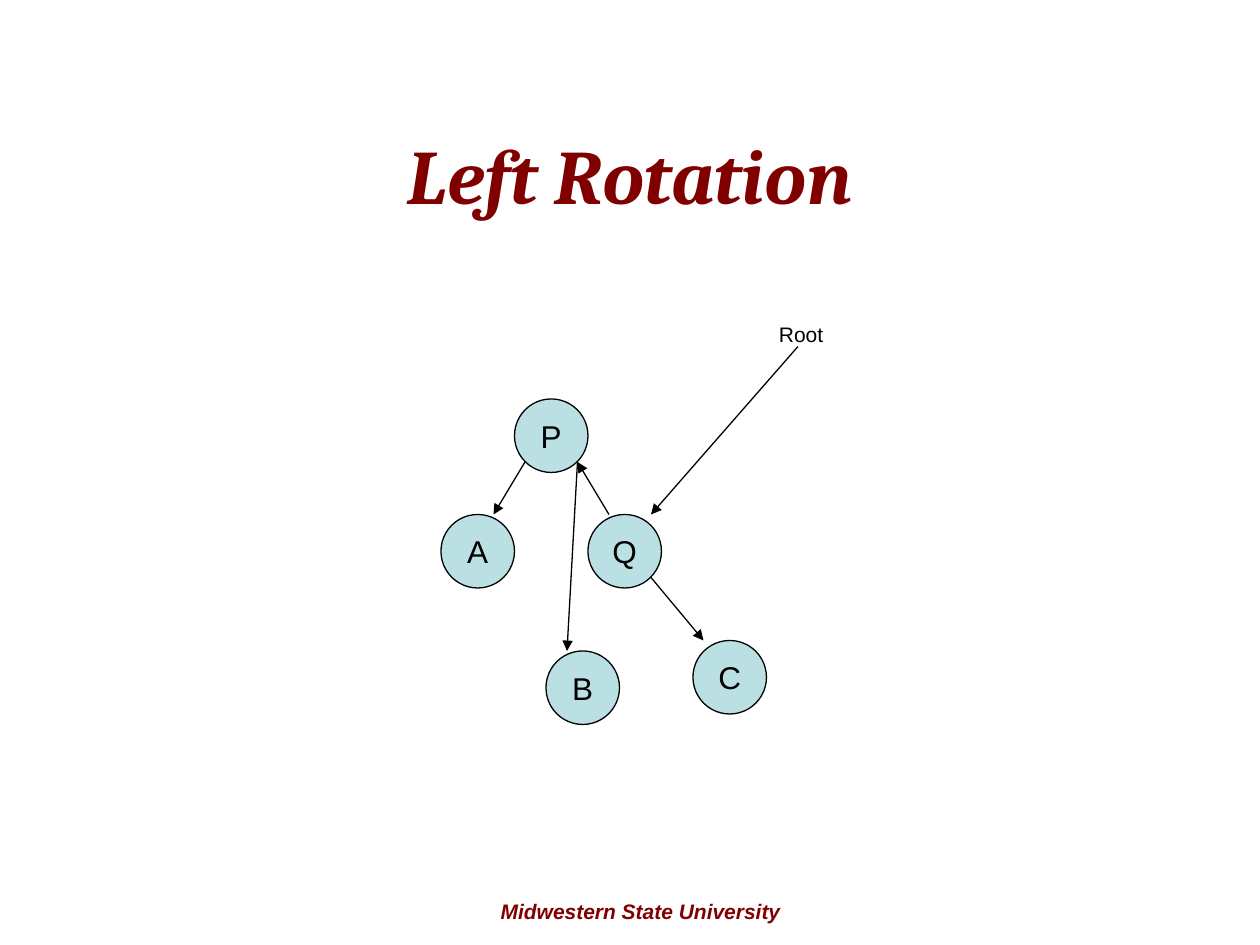
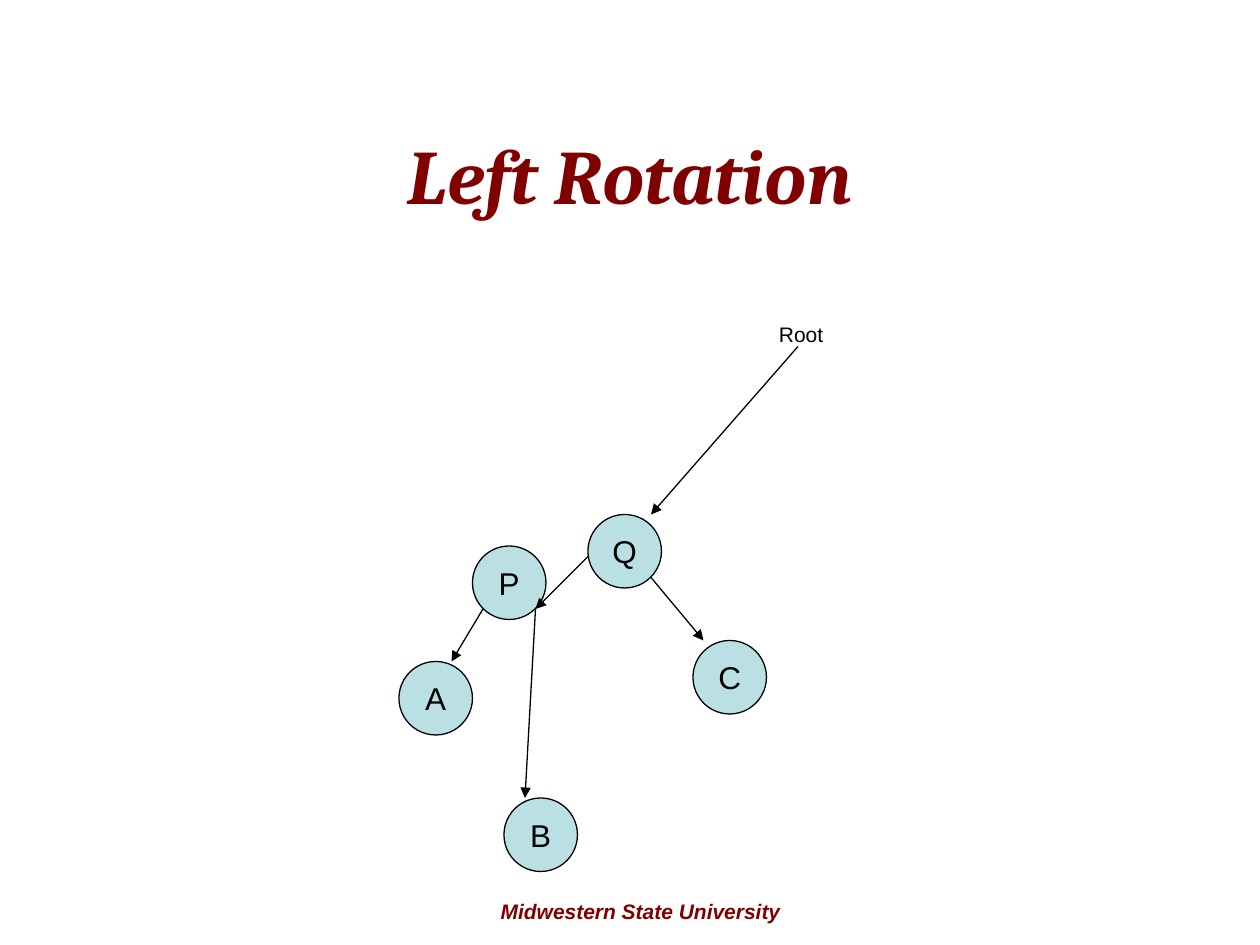
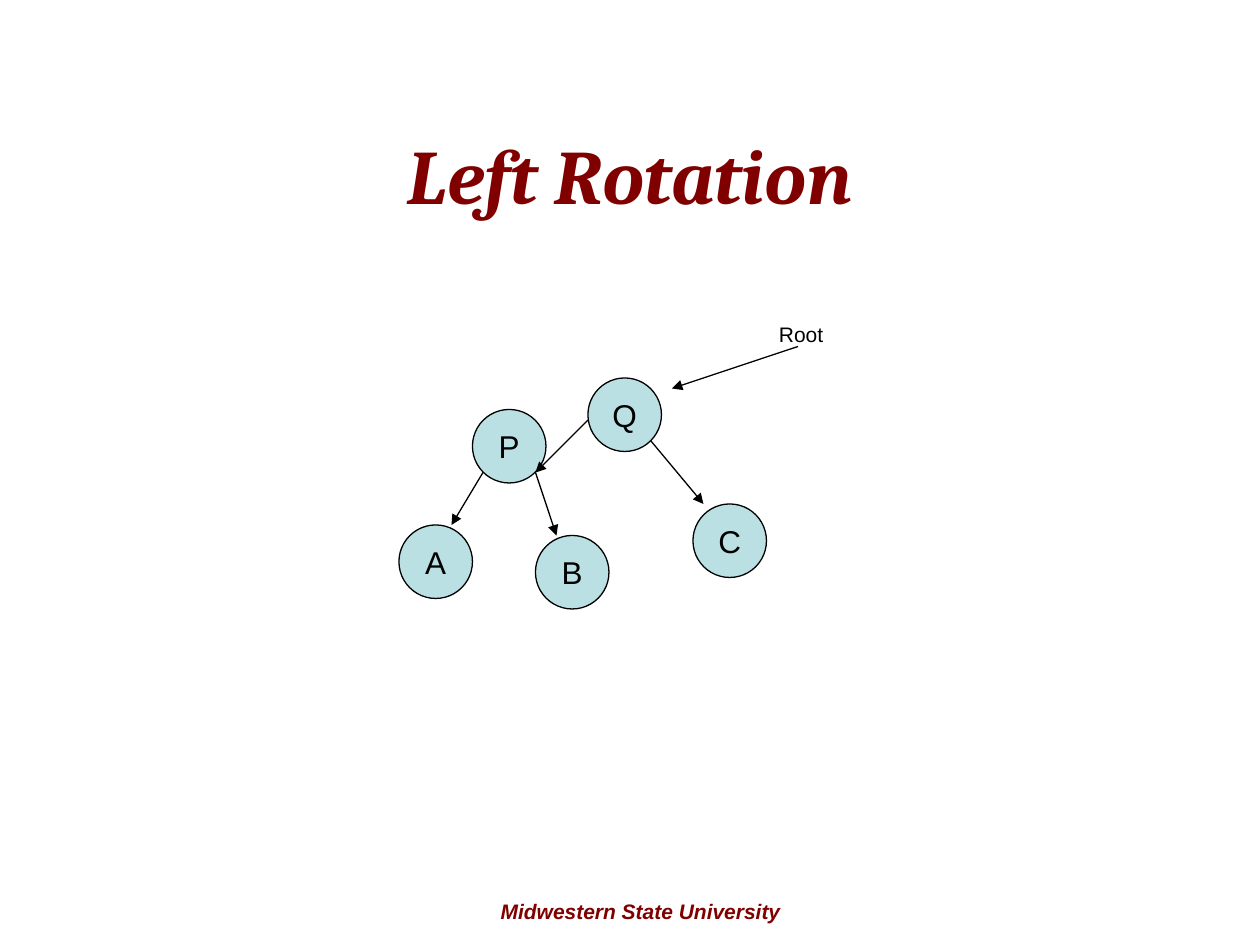
from lxml.etree import SubElement
from pptx import Presentation
from pptx.dml.color import RGBColor
from pptx.enum.shapes import MSO_CONNECTOR, MSO_SHAPE
from pptx.enum.text import MSO_ANCHOR, MSO_AUTO_SIZE, PP_ALIGN
from pptx.oxml.ns import qn
from pptx.util import Inches, Pt

MAROON, BLACK, PALE_BLUE = "800000", "000000", "BBE0E3"
BODY_FONT, TITLE_FONT = "Arial", "Cambria"
LINE_WIDTH = Pt(0.74)

# Tree positions and sizes are counted in grid steps of a twelfth of an inch.
STEP = 1 / 12
NODE = 7
TREE_BOX = (3, 2.5)
ROOT_LABEL = (37, 0)
ROOT_START = (40, 3)

# Child positions relative to the parent node.
A_FROM_P = (-7, 11)
C_FROM_Q = (10, 12)

# Points of a node where arrows start or end, relative to its corner.
LOWER_LEFT, LOWER_RIGHT = (1, 6), (6, 6)
A_TOP, B_TOP, C_TOP = (5, 0), (2, 0), (1, 0)
Q_TOP, Q_SIDE = (2, 0), (0, 4)


def color(hex_string):
    """Turn a hex string into a colour."""
    return RGBColor.from_string(hex_string)


def shift(point, offset):
    """Move a point by an offset."""
    return point[0] + offset[0], point[1] + offset[1]


def on_slide(point):
    """Turn a grid point of the tree box into slide lengths."""
    return [Inches(start + n * STEP) for start, n in zip(TREE_BOX, point)]


def write(shape, text, size, hex_string=BLACK, font=BODY_FONT,
          bold=False, align=PP_ALIGN.CENTER):
    """Write one styled paragraph; bold text is italic too."""
    p = shape.text_frame.paragraphs[0]
    p.text = text
    p.alignment = align
    p.font.name, p.font.size = font, Pt(size)
    p.font.bold = p.font.italic = bold
    p.font.color.rgb = color(hex_string)
    return p


def add_title(s, text, left, top, width, height):
    """Place the slide title, centred in its box."""
    sp = s.shapes.add_textbox(left, top, width, height)
    sp.text_frame.word_wrap = True
    sp.text_frame.vertical_anchor = MSO_ANCHOR.MIDDLE
    write(sp, text, 44, MAROON, TITLE_FONT, bold=True)


def add_label(s, text, left, top, width, **style):
    """Place a small one-line label."""
    sp = s.shapes.add_textbox(left, top, width, Inches(0.3))
    sp.text_frame.word_wrap = True
    sp.text_frame.auto_size = MSO_AUTO_SIZE.SHAPE_TO_FIT_TEXT
    write(sp, text, 12, **style).space_before = Pt(7.5)


def add_node(s, name, point):
    """Draw a tree node as a circle with its name."""
    size = Inches(NODE * STEP)
    sp = s.shapes.add_shape(MSO_SHAPE.OVAL, *on_slide(point), size, size)
    sp.shadow.inherit = False
    sp.fill.solid()
    sp.fill.fore_color.rgb = color(PALE_BLUE)
    sp.line.color.rgb = color(BLACK)
    sp.line.width = LINE_WIDTH
    sp.text_frame.word_wrap = False
    sp.text_frame.vertical_anchor = MSO_ANCHOR.MIDDLE
    write(sp, name, 18)


def add_arrow(s, start, end):
    """Draw a line with an arrowhead at its end."""
    line = s.shapes.add_connector(
        MSO_CONNECTOR.STRAIGHT, *on_slide(start), *on_slide(end))
    line.line.color.rgb = color(BLACK)
    line.line.width = LINE_WIDTH
    SubElement(line.line._get_or_add_ln(), qn("a:tailEnd"), type="triangle")
    SubElement(line._element.spPr, qn("a:effectLst"))


def add_tree(s, q, p, b_from_p, q_exit, root_end):
    """Draw the tree; q_exit and root_end are arrow points relative to Q."""
    a, b, c = shift(p, A_FROM_P), shift(p, b_from_p), shift(q, C_FROM_Q)
    for name, point in zip("QPABC", (q, p, a, b, c)):
        add_node(s, name, point)
    add_label(s, "Root", *on_slide(ROOT_LABEL), Inches(8 * STEP),
              align=PP_ALIGN.LEFT)
    add_arrow(s, ROOT_START, shift(q, root_end))
    add_arrow(s, shift(q, q_exit), shift(p, LOWER_RIGHT))
    add_arrow(s, shift(p, LOWER_LEFT), shift(a, A_TOP))
    add_arrow(s, shift(p, LOWER_RIGHT), shift(b, B_TOP))
    add_arrow(s, shift(q, LOWER_RIGHT), shift(c, C_TOP))


def add_rotation_slide(prs, **tree):
    """Add a slide with footer, title and one stage of the rotation."""
    s = prs.slides.add_slide(prs.slide_layouts[6])
    add_label(s, "Midwestern State University", Inches(3.5), Inches(7.08),
              Inches(3.17), hex_string=MAROON, bold=True)
    add_title(s, "Left Rotation", Inches(0.5), Inches(0.75),
              Inches(9), Inches(1.25))
    add_tree(s, **tree)


STAGES = [
    dict(q=(20, 19), p=(13, 8), b_from_p=(3, 24), q_exit=Q_TOP, root_end=(6, 0)),
    dict(q=(20, 19), p=(9, 22), b_from_p=(3, 24), q_exit=Q_SIDE, root_end=(6, 0)),
    dict(q=(20, 6), p=(9, 9), b_from_p=(6, 12), q_exit=Q_SIDE, root_end=(8, 1)),
]

prs = Presentation()
prs.slide_width, prs.slide_height = Inches(10), Inches(7.5)
for stage in STAGES:
    add_rotation_slide(prs, **stage)
prs.save("out.pptx")
